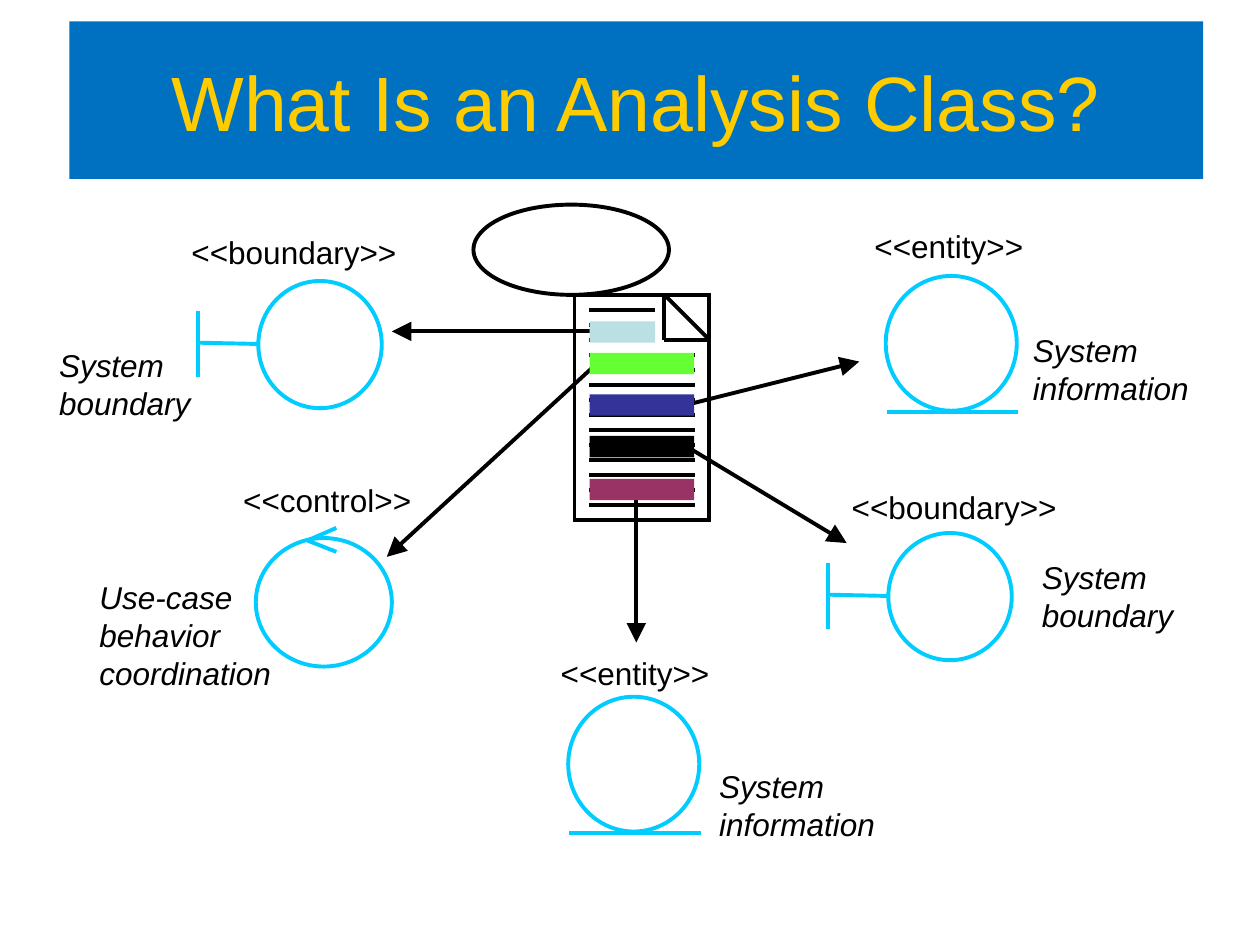
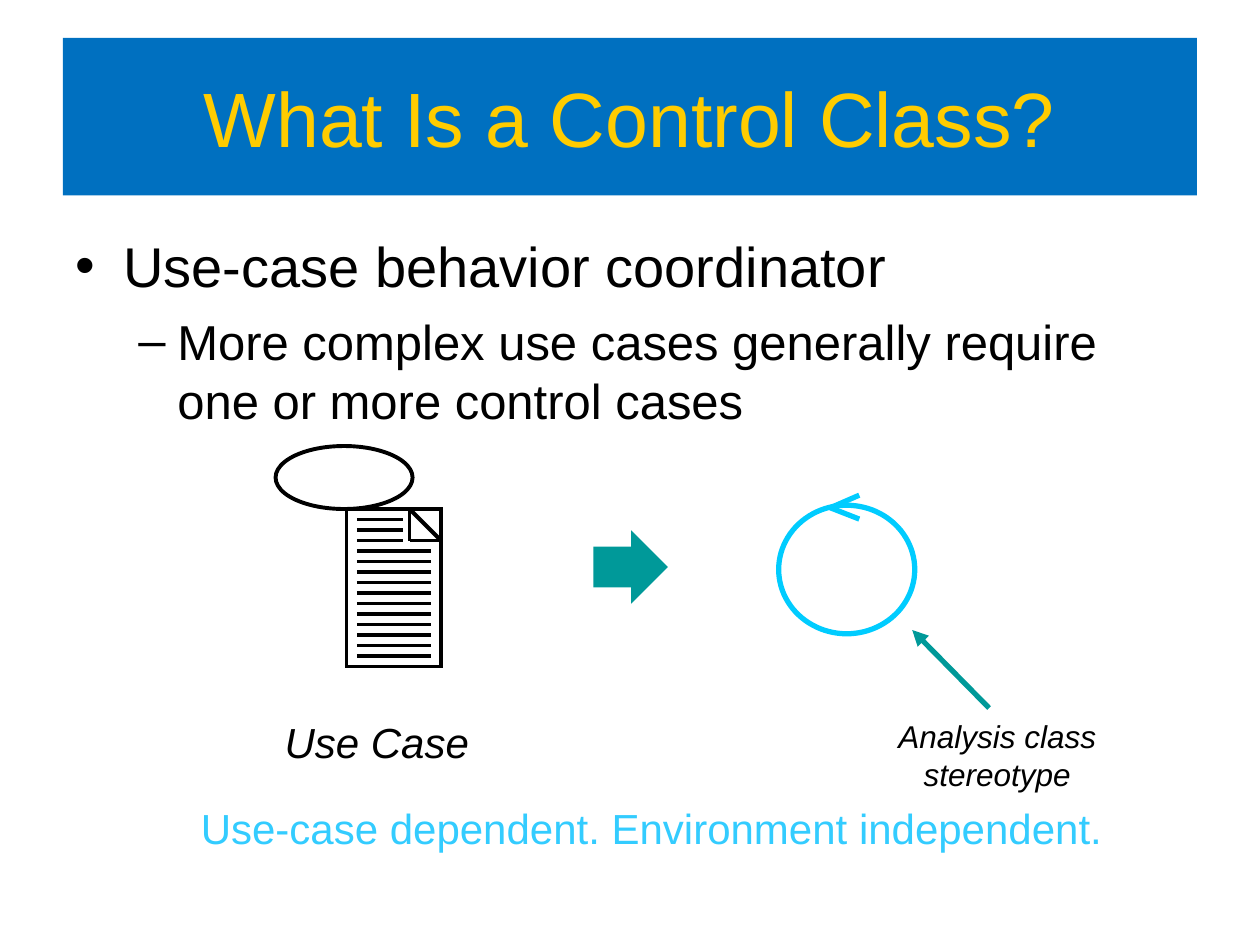
from dataclasses import dataclass
from lxml.etree import SubElement
from pptx import Presentation
from pptx.dml.color import RGBColor
from pptx.enum.shapes import MSO_CONNECTOR, MSO_SHAPE
from pptx.enum.text import MSO_ANCHOR, MSO_AUTO_SIZE, PP_ALIGN
from pptx.oxml.ns import qn
from pptx.util import Emu, Pt

SCALE = 9144


@dataclass(frozen=True)
class Theme:
    font: str = "Arial"
    ink: str = "000000"
    band: str = "0070C0"
    gold: str = "FFCC00"
    icon: str = "00CCFF"
    sky: str = "33CCFF"
    teal: str = "009999"
    bars: tuple = ("BBE0E3", "66FF33", "333399", "000000", "993366")
    title: int = 44
    body: int = 32
    sub: int = 28
    large: int = 24
    small: int = 18
    thin: float = 2.25
    thick: float = 3


THEME = Theme()


def px(*sizes):
    return [Emu(round(size * SCALE)) for size in sizes]


def tint(code):
    return RGBColor.from_string(code)


def style(para, size, color, slant=False):
    for run in para.runs:
        font = run.font
        font.name = THEME.font
        font.size = Pt(size)
        font.italic = slant
        font.color.rgb = tint(color)


def stroke(item, color, weight):
    item.line.color.rgb = tint(color)
    item.line.width = Pt(weight)
    edge = item.line._get_or_add_ln()
    SubElement(edge, qn("a:miter"), lim="800000")
    return edge


def shape(slide, kind, box, fill=None, edge=None, weight=THEME.thin):
    item = slide.shapes.add_shape(kind, *px(*box))
    item.shadow.inherit = False
    if fill:
        item.fill.solid()
        item.fill.fore_color.rgb = tint(fill)
    else:
        item.fill.background()
    if edge:
        stroke(item, edge, weight)
    else:
        item.line.fill.background()
    return item


def line(slide, start, end, color=THEME.ink, weight=THEME.thin, head=None):
    item = slide.shapes.add_connector(MSO_CONNECTOR.STRAIGHT, *px(*start, *end))
    edge = stroke(item, color, weight)
    if head:
        SubElement(edge, qn("a:tailEnd"), type="triangle", w=head, len=head)
    SubElement(item._element.spPr, qn("a:effectLst"))


def title(slide, left, top, words):
    frame = shape(slide, MSO_SHAPE.RECTANGLE, (left, top, 900, 125), THEME.band).text_frame
    frame.text = words
    frame.word_wrap = True
    frame.vertical_anchor = MSO_ANCHOR.MIDDLE
    para = frame.paragraphs[0]
    para.alignment = PP_ALIGN.CENTER
    style(para, THEME.title, THEME.gold)


def label(slide, box, words, size=THEME.small, color=THEME.ink, slant=False,
          align=PP_ALIGN.LEFT, wrap=True, pad=10):
    frame = slide.shapes.add_textbox(*px(*box)).text_frame
    frame.margin_left, frame.margin_top = px(pad, pad / 2)
    frame.margin_right, frame.margin_bottom = px(pad, pad / 2)
    frame.word_wrap = wrap
    frame.auto_size = MSO_AUTO_SIZE.SHAPE_TO_FIT_TEXT if wrap else MSO_AUTO_SIZE.NONE
    frame.text = words
    para = frame.paragraphs[0]
    para.alignment = align
    style(para, size, color, slant)


def tag(slide, left, top, width, words):
    label(slide, (left, top, width, 42), f"<<{words}>>", wrap=False, pad=12)


def note(slide, left, top, width, height, words):
    label(slide, (left, top, width, height), words, slant=True)


def bullet(para, mark, indent, hang, size):
    props = para._p.get_or_add_pPr()
    left, back = px(indent, -hang)
    props.set("marL", str(left))
    props.set("indent", str(back))
    tone = SubElement(props, qn("a:buClr"))
    SubElement(tone, qn("a:srgbClr"), val=THEME.ink)
    SubElement(props, qn("a:buFont"), typeface=THEME.font)
    SubElement(props, qn("a:buChar"), char=mark)
    style(para, size, THEME.ink)


def body(slide, box, head, point):
    frame = slide.shapes.add_textbox(*px(*box)).text_frame
    frame.word_wrap = True
    frame.text = head
    bullet(frame.paragraphs[0], "•", 38, 38, THEME.body)
    para = frame.add_paragraph()
    para.text = point
    para.level = 1
    para.space_before = Pt(7)
    bullet(para, "–", 81, 31, THEME.sub)


def usecase(slide, left, top, width, height):
    shape(slide, MSO_SHAPE.OVAL,
          (left - 0.75 * width, top - 0.4 * height, 1.45 * width, 0.4 * height),
          edge=THEME.ink)
    shape(slide, MSO_SHAPE.RECTANGLE, (left, top, width, height), edge=THEME.ink)
    right, fold = left + width, width / 3
    peak, nook, tip = (right - fold, top), (right - fold, top + fold), (right, top + fold)
    for start, end in ((peak, tip), (peak, nook), (tip, nook)):
        line(slide, start, end)
    for row in range(1, 15):
        y = top + row * height / 15
        reach = 0.6 if row < 4 else 0.89
        line(slide, (left + 0.11 * width, y), (left + reach * width, y))


def entity(slide, left, top):
    shape(slide, MSO_SHAPE.OVAL, (left, top, 104, 107), edge=THEME.icon)
    line(slide, (left + 1, top + 108), (left + 105, top + 108), THEME.icon)


def control(slide, left, top, weight=THEME.thin):
    shape(slide, MSO_SHAPE.OVAL, (left, top, 108, 102), edge=THEME.icon, weight=weight)
    for rise in (-8, 11):
        line(slide, (left + 64, top + rise), (left + 41, top + 2), THEME.icon, weight)


def border(slide, left, top):
    shape(slide, MSO_SHAPE.OVAL, (left, top, 98, 101), edge=THEME.icon)
    line(slide, (left - 48, top + 24), (left - 48, top + 76), THEME.icon)
    line(slide, (left - 48, top + 49), (left, top + 50), THEME.icon)


def classes(slide):
    title(slide, 55, 17, "What Is an Analysis Class?")
    for spot in ((37, 270, 142, 70, "System boundary"),
                 (69, 454, 158, 100, "Use-case behavior coordination"),
                 (810, 258, 167, 70, "System information"),
                 (561, 604, 167, 70, "System information"),
                 (817, 438, 142, 70, "System boundary")):
        note(slide, *spot)
    for spot in ((140, 179, 190, "boundary"), (181, 376, 161, "control"),
                 (682, 174, 146, "entity"), (433, 513, 146, "entity"),
                 (664, 381, 190, "boundary")):
        tag(slide, *spot)
    usecase(slide, 456, 234, 107, 179)
    for start, end in (((479, 263), (311, 263)), ((546, 321), (682, 287)),
                       ((505, 380), (505, 510)), ((546, 355), (672, 431)),
                       ((471, 291), (307, 442))):
        line(slide, start, end, head="lg")
    tops, widths = (255, 280, 313, 346, 380), (52, 83, 83, 83, 83)
    for top, width, fill in zip(tops, widths, THEME.bars):
        shape(slide, MSO_SHAPE.RECTANGLE, (468, top, width, 17), fill)
    entity(slide, 703, 219)
    control(slide, 203, 427)
    border(slide, 205, 223)
    entity(slide, 451, 553)
    border(slide, 705, 423)


def coach(slide):
    label(slide, (142, 632, 750, 50), "Use-case dependent. Environment independent.",
          THEME.large, THEME.sky, align=PP_ALIGN.CENTER)
    title(slide, 50, 30, "What Is a Control Class?")
    body(slide, (50, 179, 900, 495), "Use-case behavior coordinator",
         "More complex use cases generally require one or more control cases")
    label(slide, (214, 564, 170, 50), "Use Case", THEME.large, slant=True,
          align=PP_ALIGN.CENTER, wrap=False)
    usecase(slide, 275, 404, 75, 125)
    label(slide, (691, 563, 201, 72), "Analysis class stereotype", slant=True,
          align=PP_ALIGN.CENTER, pad=12)
    line(slide, (785, 562), (724, 500), THEME.teal, THEME.thick, head="med")
    control(slide, 618, 401, THEME.thick)
    arrow = shape(slide, MSO_SHAPE.RIGHT_ARROW, (471, 421, 59, 58), THEME.teal)
    arrow.adjustments[0], arrow.adjustments[1] = 0.56, 0.5


def main():
    deck = Presentation()
    deck.slide_width, deck.slide_height = px(1000, 750)
    for build in (classes, coach):
        build(deck.slides.add_slide(deck.slide_layouts[6]))
    deck.save("out.pptx")


if __name__ == "__main__":
    main()
